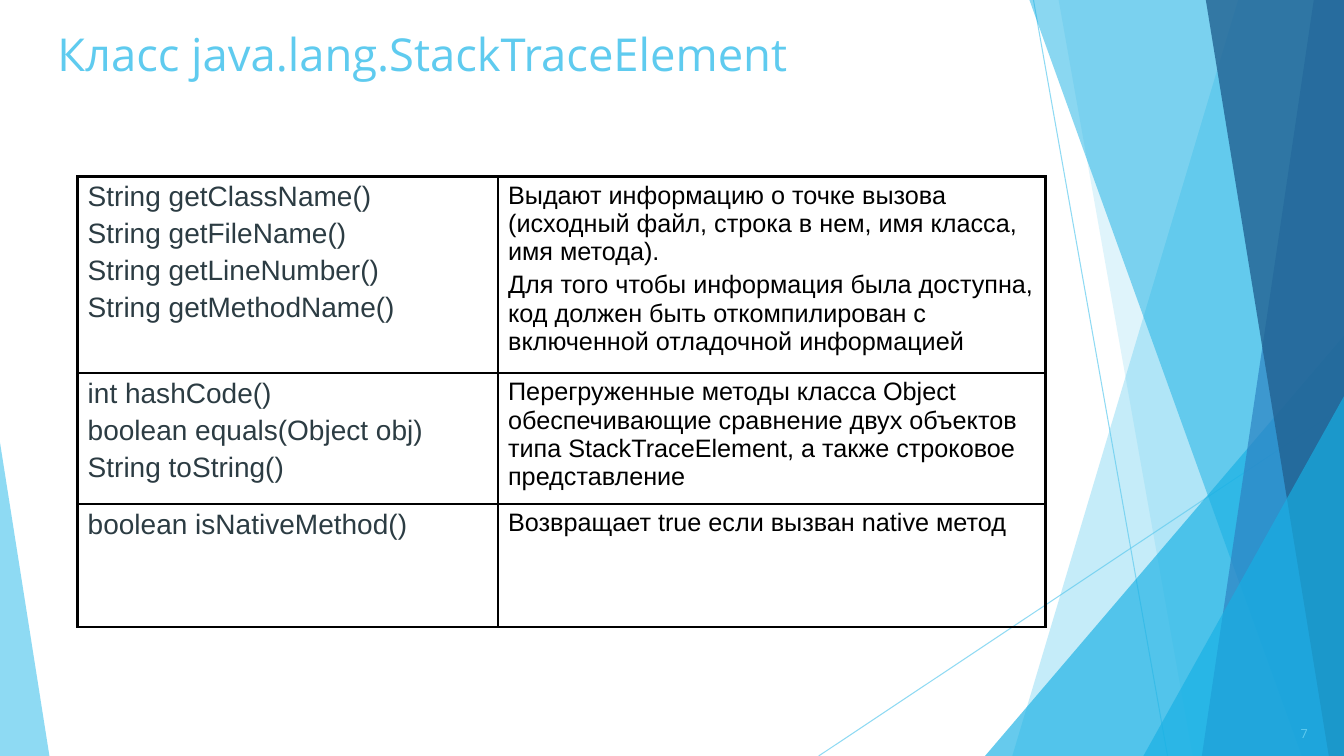
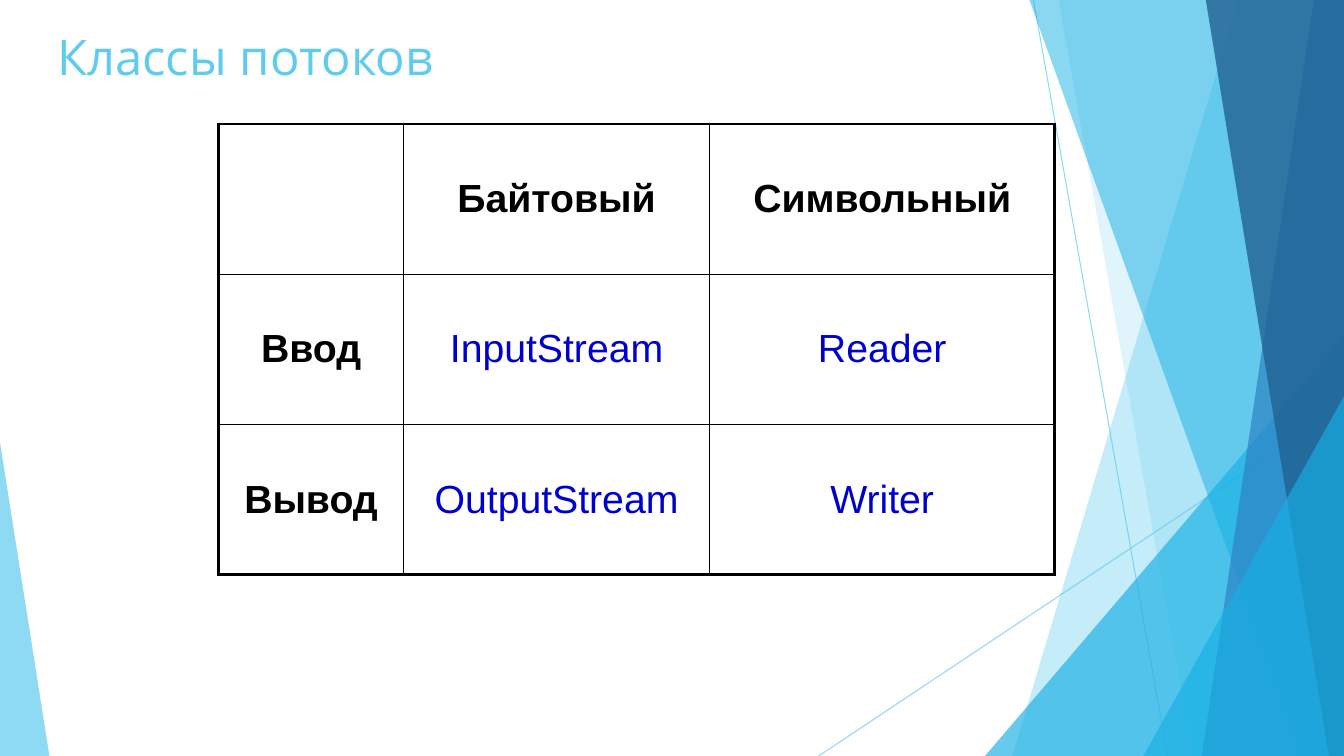
import pptx
import pptx.dml.color
import pptx.enum.shapes
import pptx.enum.text
import pptx.oxml
import pptx.oxml.ns
import pptx.util

WIDTH, HEIGHT = 13.33, 7.5
TITLE_BOX = (0.47, 0.21, 12.6, 0.69)
NUMBER_BOX = (9.96, 7.1, 3.11, 0.35)
SKY, CYAN, BLUE, NAVY = "5FCBEF", "17B0E4", "2E83C3", "226292"
BLACK, SLATE, LINK = "000000", "2C3C43", "0000CC"
TITLE_FONT, BODY_FONT = "Open Sans", "Arial"
OUTER, INNER = 2.25, 1
LEFT = pptx.enum.text.PP_ALIGN.LEFT
CENTER = pptx.enum.text.PP_ALIGN.CENTER
RIGHT = pptx.enum.text.PP_ALIGN.RIGHT
TOP = pptx.enum.text.MSO_ANCHOR.TOP
MIDDLE = pptx.enum.text.MSO_ANCHOR.MIDDLE

# Back to front: lines (start, end), bands (left edge at top and bottom; they
# run to the right side) and triangles (left, top, width, apex), which stand
# on the bottom of the slide.
BACKDROP = [
    ("line", ((10.25, 0), (11.58, HEIGHT)), SKY, 70),
    ("line", ((WIDTH, 4.03), (8.12, HEIGHT)), SKY, 70),
    ("band", (12.28, 10.04), SKY, 36),
    ("band", (10.5, 11.83), SKY, 20),
    ("triangle", (9.77, 3.33, 3.56, 1), CYAN, 66),
    ("band", (10.21, 12.91), CYAN, 50),
    ("band", (13.03, 11.92), BLUE, 70),
    ("band", (11.96, 13.18), NAVY, 80),
    ("triangle", (11.34, 3.93, 1.99, 1), CYAN, 66),
    ("triangle", (0, 4.39, 0.49, 0), SKY, 70),
]

METHOD = {"size": 20, "color": SLATE}
NOTE = {"size": 18, "color": BLACK}
HEADING = {"size": 28, "color": BLACK, "bold": True}
STREAM = {"size": 28, "color": LINK}

SLIDES = [
    {
        "title": "Класс java.lang.StackTraceElement",
        "title_size": 32.4,
        "number": "7",
        "origin": (0.77, 1.75),
        "columns": (4.17, 5.43),
        "rows": (1.82, 1.22, 1.22),
        "align": LEFT,
        "anchor": TOP,
        "styles": [[METHOD, NOTE]] * 3,
        "cells": [
            [["String getClassName()", "String getFileName()",
              "String getLineNumber()", "String getMethodName()"],
             ["Выдают информацию о точке вызова (исходный файл, строка в нем, "
              "имя класса, имя метода).",
              "Для того чтобы информация была доступна, код должен быть "
              "откомпилирован с включенной отладочной информацией"]],
            [["int hashCode()", "boolean equals(Object obj)",
              "String toString()"],
             ["Перегруженные методы класса Object обеспечивающие сравнение "
              "двух объектов типа StackTraceElement, а также строковое "
              "представление"]],
            [["boolean isNativeMethod()"],
             ["Возвращает true если вызван native метод"]],
        ],
    },
    {
        "title": "Классы потоков",
        "title_size": 35,
        "number": None,
        "origin": (2.17, 1.23),
        "columns": (1.83, 3.04, 3.42),
        "rows": (1.49,) * 3,
        "align": CENTER,
        "anchor": MIDDLE,
        "styles": [[HEADING] * 3] + [[HEADING, STREAM, STREAM]] * 2,
        "cells": [
            [[], ["Байтовый"], ["Символьный"]],
            [["Ввод"], ["InputStream"], ["Reader"]],
            [["Вывод"], ["OutputStream"], ["Writer"]],
        ],
    },
]


def inches(*values):
    """Turn lengths in inches into a list of EMU lengths."""
    return [pptx.util.Inches(value) for value in values]


def rgb(value):
    """Turn a hex string into a colour."""
    return pptx.dml.color.RGBColor.from_string(value)


def set_alpha(shape, percent):
    """Make every colour in the shape's own properties translucent."""
    for color in shape.element.spPr.iter(pptx.oxml.ns.qn("a:srgbClr")):
        alpha = color.makeelement(pptx.oxml.ns.qn("a:alpha"),
                                  {"val": str(percent * 1000)})
        color.append(alpha)


def write(paragraph, text, size, color, font=BODY_FONT, bold=False,
          align=LEFT, space=0):
    """Put one formatted run of text into a paragraph."""
    run = paragraph.add_run()
    run.text = text
    values = {"name": font, "size": pptx.util.Pt(size), "bold": bold}
    for name, value in values.items():
        setattr(run.font, name, value)
    run.font.color.rgb = rgb(color)
    paragraph.alignment = align
    paragraph.space_before = pptx.util.Pt(space)


def draw_line(shapes, ends, color):
    """Draw a thin line without shadow."""
    start, end = ends
    line = shapes.add_connector(pptx.enum.shapes.MSO_CONNECTOR.STRAIGHT,
                                *inches(*start, *end))
    line.line.width = pptx.util.Pt(0.75)
    line.line.color.rgb = rgb(color)
    properties = line.element.spPr
    properties.append(properties.makeelement(
        pptx.oxml.ns.qn("a:effectLst"), {}))
    return line


def fill_plain(shape, color):
    """Give a shape a flat fill with no outline and no shadow."""
    shape.shadow.inherit = False
    shape.fill.solid()
    shape.fill.fore_color.rgb = rgb(color)
    shape.line.fill.background()
    return shape


def draw_band(shapes, edge, color):
    """Draw a full-height band from a slanted left edge to the right side."""
    top, bottom = edge
    builder = shapes.build_freeform(*inches(top, 0), scale=1.0)
    corners = [(WIDTH, 0), (WIDTH, HEIGHT), (bottom, HEIGHT)]
    builder.add_line_segments([inches(*corner) for corner in corners])
    return fill_plain(builder.convert_to_shape(), color)


def draw_triangle(shapes, geometry, color):
    """Draw a right triangle that stands on the bottom of the slide."""
    left, top, width, apex = geometry
    triangle = shapes.add_shape(
        pptx.enum.shapes.MSO_SHAPE.ISOSCELES_TRIANGLE,
        *inches(left, top, width, HEIGHT - top))
    triangle.adjustments[0] = apex
    return fill_plain(triangle, color)


def build_backdrop(slide):
    """Draw the backdrop and move it to the layout that all slides share."""
    draw = {"line": draw_line, "band": draw_band, "triangle": draw_triangle}
    for kind, geometry, color, alpha in BACKDROP:
        shape = draw[kind](slide.shapes, geometry, color)
        set_alpha(shape, alpha)
        slide.slide_layout.shapes.element.append(shape.element)


def place(shape, box):
    """Move and size a shape."""
    for name, value in zip(("left", "top", "width", "height"), inches(*box)):
        setattr(shape, name, value)


def add_title(slide, text, size):
    """Fill the title placeholder."""
    frame = slide.shapes.title.text_frame
    values = {"vertical_anchor": TOP, "word_wrap": True,
              "auto_size": pptx.enum.text.MSO_AUTO_SIZE.NONE}
    for name, value in values.items():
        setattr(frame, name, value)
    write(frame.paragraphs[0], text, size, SKY, TITLE_FONT)


def add_number(slide, text):
    """Write the slide number at the lower right."""
    frame = slide.shapes.add_textbox(*inches(*NUMBER_BOX)).text_frame
    frame.word_wrap = True
    frame.vertical_anchor = MIDDLE
    write(frame.paragraphs[0], text, 9, SKY, TITLE_FONT, align=RIGHT)


def set_borders(cell, widths):
    """Draw the left, right, top and bottom borders of a cell."""
    properties = cell._tc.get_or_add_tcPr()
    for index, (side, width) in enumerate(zip("LRTB", widths)):
        border = pptx.oxml.parse_xml(
            f'<a:ln{side} {pptx.oxml.ns.nsdecls("a")} '
            f'w="{pptx.util.Pt(width)}"><a:solidFill>'
            f'<a:srgbClr val="{BLACK}"/></a:solidFill></a:ln{side}>')
        properties.insert(index, border)


def add_table(slide, content):
    """Build a ruled table with a heavier outer frame."""
    columns, rows = content["columns"], content["rows"]
    box = inches(*content["origin"], sum(columns), sum(rows))
    table = slide.shapes.add_table(len(rows), len(columns), *box).table
    table.first_row = table.horz_banding = False
    for column, width in zip(table.columns, inches(*columns)):
        column.width = width
    for row, height in zip(table.rows, inches(*rows)):
        row.height = height
    for r, line in enumerate(content["cells"]):
        for c, texts in enumerate(line):
            cell = table.cell(r, c)
            cell.fill.background()
            cell.vertical_anchor = content["anchor"]
            at_edge = (c == 0, c == len(columns) - 1,
                       r == 0, r == len(rows) - 1)
            set_borders(cell, [OUTER if edge else INNER for edge in at_edge])
            style = content["styles"][r][c]
            frame = cell.text_frame
            for index, text in enumerate(texts):
                paragraph = (frame.add_paragraph() if index
                             else frame.paragraphs[0])
                write(paragraph, text, align=content["align"],
                      space=style["size"] * 0.2, **style)


def main():
    """Build and save the presentation."""
    presentation = pptx.Presentation()
    presentation.slide_width, presentation.slide_height = inches(WIDTH, HEIGHT)
    layout = presentation.slide_layouts.get_by_name("Title Only")
    place(layout.placeholders[0], TITLE_BOX)
    for index, content in enumerate(SLIDES):
        slide = presentation.slides.add_slide(layout)
        if index == 0:
            build_backdrop(slide)
        add_title(slide, content["title"], content["title_size"])
        if content["number"]:
            add_number(slide, content["number"])
        add_table(slide, content)
    presentation.save("out.pptx")


main()
